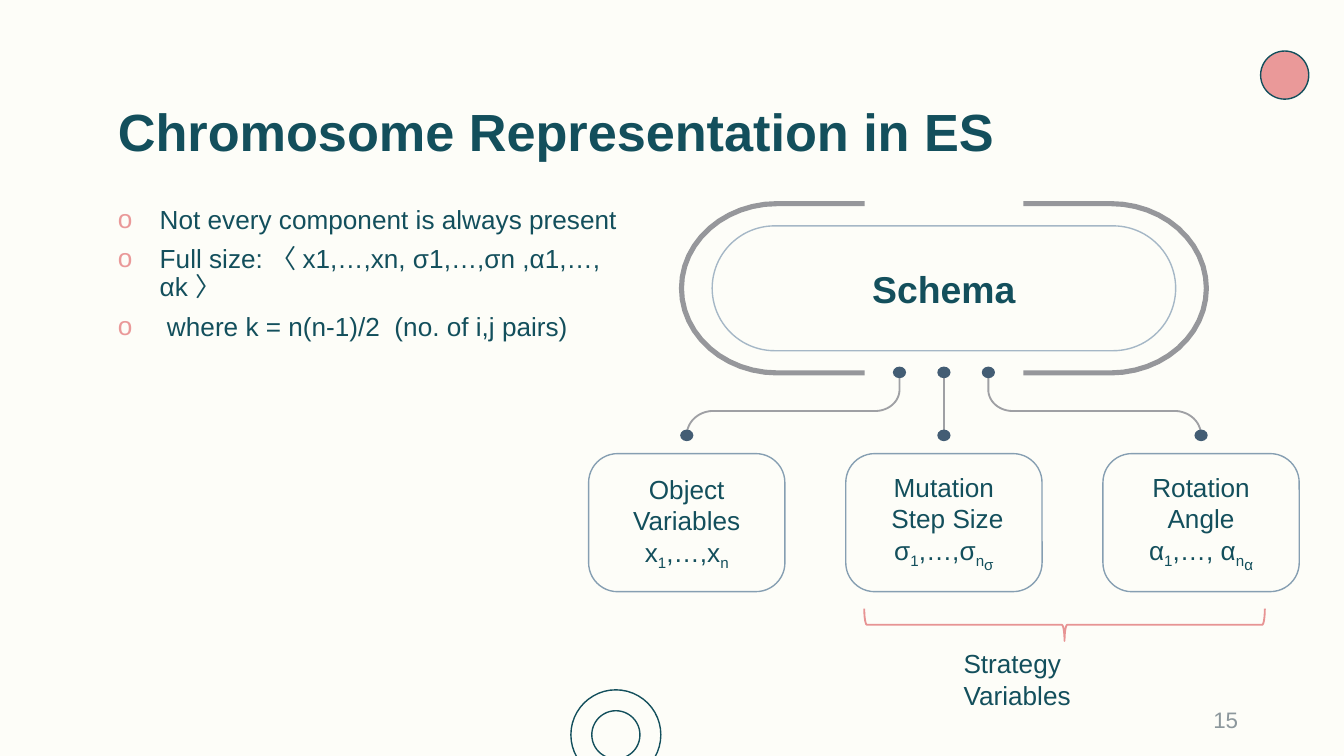
from math import cos, radians, sin

from lxml import etree
from pptx import Presentation
from pptx.dml.color import RGBColor
from pptx.enum.shapes import MSO_CONNECTOR, MSO_SHAPE
from pptx.enum.text import MSO_ANCHOR, PP_ALIGN
from pptx.oxml.ns import qn
from pptx.util import Cm, Pt

OVAL = MSO_SHAPE.OVAL
ROUND = MSO_SHAPE.ROUNDED_RECTANGLE
BRACE = MSO_SHAPE.LEFT_BRACE
LINE = MSO_CONNECTOR.STRAIGHT
TOP, MID = MSO_ANCHOR.TOP, MSO_ANCHOR.MIDDLE
LEFT, MIDDLE, RIGHT = PP_ALIGN.LEFT, PP_ALIGN.CENTER, PP_ALIGN.RIGHT

THEME = {
    "font": "Arial",
    "paper": RGBColor.from_string("FDFDF8"),
    "ink": RGBColor.from_string("134F5C"),
    "pink": RGBColor.from_string("EA9999"),
    "brace": RGBColor.from_string("E79494"),
    "rim": RGBColor.from_string("A5B7C6"),
    "edge": RGBColor.from_string("869FB2"),
    "arch": RGBColor.from_string("96979B"),
    "wire": RGBColor.from_string("9FA0A4"),
    "dot": RGBColor.from_string("435D74"),
    "page": RGBColor.from_string("8C979C"),
    "title": Pt(28),
    "head": Pt(20),
    "body": Pt(14),
    "small": Pt(12),
}


def arc(x, y, wide, high, start, end):
    turns = [radians(start + (end - start) * i / 24) for i in range(25)]
    return [(x + wide * cos(t), y + high * sin(t)) for t in turns]


def write(frame, lines, size, tone="ink", bold=False, align=LEFT):
    frame.word_wrap = True
    for i, line in enumerate(lines):
        par = frame.paragraphs[0] if i == 0 else frame.add_paragraph()
        par.alignment = align
        par.font.name = THEME["font"]
        par.font.size = THEME[size]
        par.font.bold = bold
        par.font.color.rgb = THEME[tone]
        for words, base in line:
            run = par.add_run()
            run.text = words
            if base:
                run._r.get_or_add_rPr().set("baseline", str(base * 1000))


deck = Presentation()
deck.slide_width, deck.slide_height = Cm(25.4), Cm(14.29)
slide = deck.slides.add_slide(deck.slide_layouts[6])
slide.background.fill.solid()
slide.background.fill.fore_color.rgb = THEME["paper"]
shapes = slide.shapes

MID_X, TOP_Y, LOW_Y = 17.84, 7.04, 8.23
NEAR, FAR = 0.84, 4.86
BOX_W, BOX_H = 3.71, 2.61

for side in (-1, 1):
    arch = [(-1.5, 3.85), *arc(-3.15, 5.45, 1.81, 1.6, 270, 90), (-1.5, 7.05)]
    wire = [(-NEAR, TOP_Y), *arc(-1.3, 7.37, 0.46, 0.4, 0, 90),
            *arc(-4.36, LOW_Y, 0.5, 0.46, 270, 180)]
    for points, tone, width in ((arch, "arch", 2.75), (wire, "wire", 1)):
        spots = [(Cm(MID_X - side * x), Cm(y)) for x, y in points]
        path = shapes.build_freeform(*spots[0])
        path.add_line_segments(spots[1:], close=False)
        curve = path.convert_to_shape()
        curve.shadow.inherit = False
        curve.fill.background()
        curve.line.color.rgb = THEME[tone]
        curve.line.width = Pt(width)

stem = shapes.add_connector(LINE, Cm(MID_X), Cm(TOP_Y), Cm(MID_X), Cm(LOW_Y))
stem.line.color.rgb = THEME["wire"]
stem.line.width = Pt(1)
etree.SubElement(stem._element.spPr, qn("a:effectLst"))

forms = [
    (OVAL, 24.28, 1.42, 0.91, 0.91, "pink", "ink", 0.75),
    (OVAL, 11.64, 13.89, 1.7, 1.7, None, "ink", 0.75),
    (OVAL, 11.64, 13.89, 0.91, 0.91, None, "ink", 0.75),
    (BRACE, 20.12, 11.81, 0.61, 7.57, None, "brace", 1),
    (ROUND, MID_X, 5.45, 8.76, 2.36, None, "rim", 0.75),
]
for step in (-1, 0, 1):
    forms += [
        (OVAL, MID_X + step * NEAR, TOP_Y, 0.25, 0.22, "dot", None, 0),
        (OVAL, MID_X + step * FAR, LOW_Y, 0.25, 0.22, "dot", None, 0),
        (ROUND, MID_X + step * FAR, 9.88, BOX_W, BOX_H, None, "edge", 0.75),
    ]

cards = []
for kind, x, y, wide, high, fill, edge, width in forms:
    form = shapes.add_shape(kind, Cm(x - wide / 2), Cm(y - high / 2), Cm(wide), Cm(high))
    form.shadow.inherit = False
    if fill:
        form.fill.solid()
        form.fill.fore_color.rgb = THEME[fill]
    else:
        form.fill.background()
    if edge:
        form.line.color.rgb = THEME[edge]
        form.line.width = Pt(width)
    else:
        form.line.fill.background()
    if kind == BRACE:
        form.rotation = 270
    if kind == ROUND:
        form.adjustments[0] = 0.5 if edge == "rim" else 0.21
        cards.append(form)

labels = [
    [[("Schema", 0)]],
    [[("Object", 0)], [("Variables", 0)],
     [("x", 0), ("1", -25), (",…,x", 0), ("n", -25)]],
    [[("Mutation", 0)], [(" Step Size", 0)],
     [("σ", 0), ("1", -25), (",…,σ", 0), ("n", -25), ("σ", -40)]],
    [[("Rotation Angle", 0)],
     [("α", 0), ("1", -25), (",…, α", 0), ("n", -25), ("α", -40)]],
]
for i, (card, lines) in enumerate(zip(cards, labels)):
    frame = card.text_frame
    frame.vertical_anchor = MID
    frame.margin_top = frame.margin_bottom = Cm(0.25)
    write(frame, lines, "body" if i else "head", bold=i == 0, align=MIDDLE)

notes = [
    "Not every component is always present",
    "Full size: 〈 x1,…,xn, σ1,…,σn ,α1,…, αk 〉",
    " where k = n(n-1)/2  (no. of i,j pairs)",
]
list_box = shapes.add_textbox(Cm(1.98), Cm(3.78), Cm(10.72), Cm(2.36))
frame = list_box.text_frame
for i, note in enumerate(notes):
    par = frame.paragraphs[0] if i == 0 else frame.add_paragraph()
    par.line_spacing = 0.9
    par.space_before = Pt(3 if i else 0)
    par.space_after = Pt(3)
    props = par._p.get_or_add_pPr()
    props.set("marL", str(Cm(0.79)))
    props.set("indent", str(Cm(-0.79)))
    tint = etree.SubElement(props, qn("a:buClr"))
    etree.SubElement(tint, qn("a:srgbClr"), val=str(THEME["pink"]))
    etree.SubElement(props, qn("a:buFont"), typeface=THEME["font"])
    etree.SubElement(props, qn("a:buChar"), char="o")
    par.text = note
    par.font.name = THEME["font"]
    par.font.size = THEME["body"]
    par.font.color.rgb = THEME["ink"]
frame.word_wrap = True

texts = [
    ("Chromosome Representation in ES", 1.98, 1.75, 21.44, 1.4, "title", "ink", True, LEFT, TOP),
    ("Strategy Variables", 17.96, 12.12, 4.34, 0.86, "body", "ink", False, LEFT, TOP),
    ("15", 17.93, 13.23, 5.72, 0.76, "small", "page", False, RIGHT, MID),
]
for words, x, y, wide, high, size, tone, bold, align, anchor in texts:
    frame = shapes.add_textbox(Cm(x), Cm(y), Cm(wide), Cm(high)).text_frame
    frame.vertical_anchor = anchor
    write(frame, [[(words, 0)]], size, tone, bold, align)

deck.save("out.pptx")
